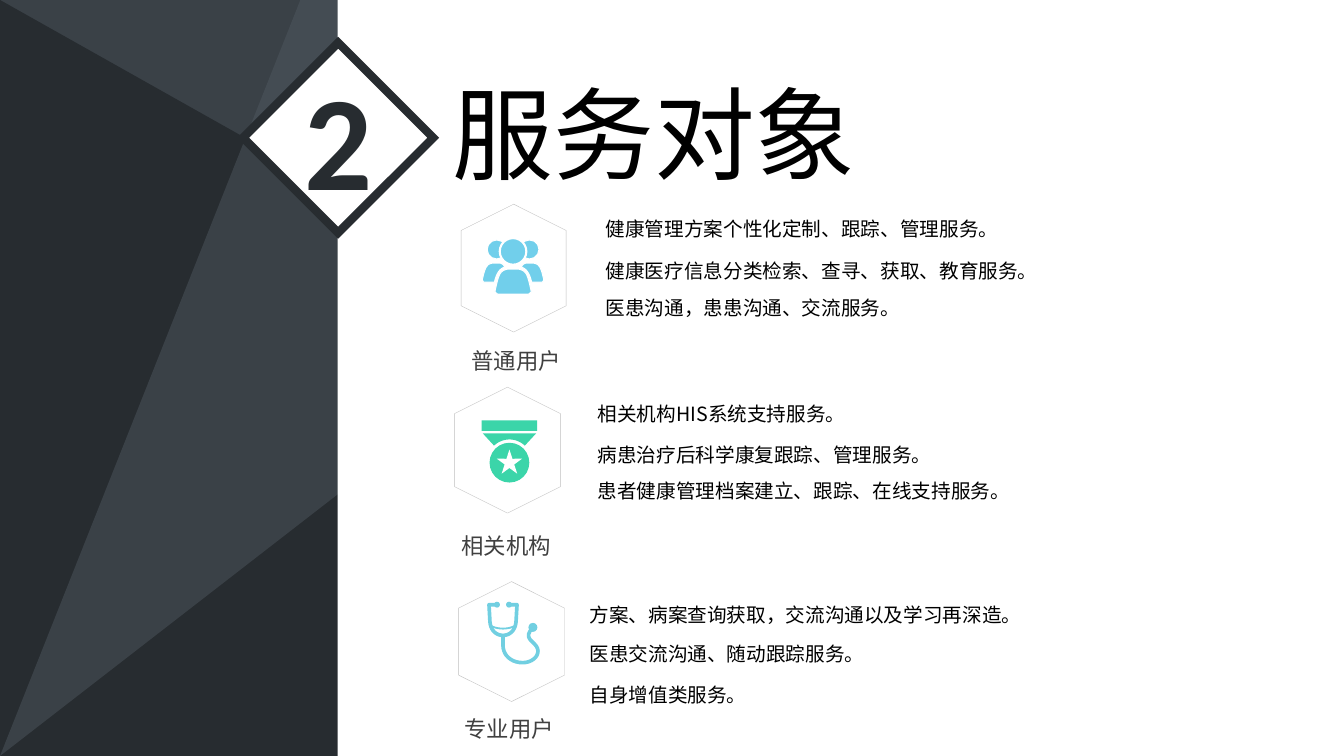
import dataclasses

import lxml.etree
import pptx
import pptx.dml.color
import pptx.enum.shapes
import pptx.enum.text
import pptx.oxml.ns
import pptx.util

Pt = pptx.util.Pt
SHAPES = pptx.enum.shapes.MSO_SHAPE
ANCHOR = pptx.enum.text.MSO_ANCHOR
ALIGN = pptx.enum.text.PP_ALIGN


@dataclasses.dataclass(frozen=True)
class Theme:
    """Colours, fonts and type sizes of the slide."""
    slate: str = "3A4147"
    dark: str = "272C30"
    light: str = "4E575F"
    white: str = "FFFFFF"
    black: str = "000000"
    label: str = "404040"
    outline: str = "BFBFBF"
    sky: str = "71CFEB"
    mint: str = "3BD5A9"
    aqua: str = "71CFE1"
    latin: str = "Calibri"
    cjk: str = "Noto Sans CJK SC"
    number_size: int = 96
    title_size: int = 72
    label_size: int = 16
    body_size: int = 14


THEME = Theme()


def rgb(value):
    """Turn a hex string into a colour."""
    return pptx.dml.color.RGBColor.from_string(value)


def add_xml(parent, tag):
    """Append an empty drawing element to parent and return it."""
    return lxml.etree.SubElement(parent, pptx.oxml.ns.qn(tag))


def paint(shape, fill=None, line=None, width=0.75):
    """Set fill and line, and remove the shadow."""
    shape.shadow.inherit = False
    if fill:
        shape.fill.solid()
        shape.fill.fore_color.rgb = rgb(fill)
    else:
        shape.fill.background()
    if line:
        shape.line.color.rgb = rgb(line)
        shape.line.width = Pt(width)
    else:
        shape.line.fill.background()
    return shape


def preset(slide, kind, box, **look):
    """Add a painted preset shape in a box of points."""
    return paint(slide.shapes.add_shape(kind, *map(Pt, box)), **look)


def dot(slide, x, y, radius, **look):
    """Add a circle around a centre."""
    return preset(slide, SHAPES.OVAL, (x - radius, y - radius, 2 * radius, 2 * radius), **look)


def outline(slide, origin, points, close=True, **look):
    """Add a freeform through points given relative to origin."""
    x, y = origin
    spots = [(Pt(x + dx), Pt(y + dy)) for dx, dy in points]
    builder = slide.shapes.build_freeform(*spots[0], scale=1.0)
    builder.add_line_segments(spots[1:], close=close)
    return paint(builder.convert_to_shape(), **look)


def bend(a, b, c, d, steps=10):
    """Sample a cubic curve from a to d with handles b and c."""
    ts = [i / steps for i in range(steps + 1)]
    return [tuple((1 - t) ** 3 * p + 3 * t * (1 - t) ** 2 * q + 3 * t * t * (1 - t) * r + t ** 3 * s
                  for p, q, r, s in zip(a, b, c, d)) for t in ts]


def flip(points):
    """Mirror points left to right."""
    return [(-x, y) for x, y in points]


def symmetric(half):
    """Join half an outline, ending near the axis, with its mirror image."""
    return half + flip(half)[::-1]


def put_text(frame, text, size, font=THEME.latin, color=THEME.black, bold=False,
             align=ALIGN.LEFT, anchor=ANCHOR.TOP, spacing=1.0):
    """Write one formatted paragraph into a text frame."""
    frame.word_wrap = True
    frame.auto_size = pptx.enum.text.MSO_AUTO_SIZE.NONE
    frame.vertical_anchor = anchor
    paragraph = frame.paragraphs[0]
    paragraph.alignment = align
    paragraph.line_spacing = spacing
    run = paragraph.add_run()
    run.text = text
    run.font.name, run.font.size, run.font.bold = font, Pt(size), bold
    run.font.color.rgb = rgb(color)


def text_box(slide, box, text, **style):
    """Add a text box in a box of points."""
    put_text(slide.shapes.add_textbox(*map(Pt, box)).text_frame, text, **style)


def backdrop(slide, box):
    """Draw the faceted dark panel and the white page beside it."""
    left, top, width, height = box
    slide.background.fill.solid()
    slide.background.fill.fore_color.rgb = rgb(THEME.slate)
    preset(slide, SHAPES.ISOSCELES_TRIANGLE, box, fill=THEME.dark).adjustments[0] = 0
    facet = outline(slide, (left, top), [(697, 0), (214.5, 0), (0, height)], fill=THEME.light)
    tint = facet.element.spPr.find(".//" + pptx.oxml.ns.qn("a:srgbClr"))
    add_xml(tint, "a:alpha").set("val", "50000")
    preset(slide, SHAPES.RECTANGLE, (left + 241.2, top, width - 241.2, height), fill=THEME.white)


def heading(slide, box):
    """Place the numbered diamond and the title to its right."""
    left, top, side, gap = box
    diamond = preset(slide, SHAPES.RECTANGLE, (left, top, side, side),
                     fill=THEME.white, line=THEME.dark, width=6)
    diamond.rotation = 315
    add_xml(diamond.line._get_or_add_ln(), "a:miter").set("lim", "800000")
    text_box(slide, (left + 1.4, top - 0.7, 93, 116.6), "2", size=THEME.number_size,
             color=THEME.dark, bold=True, align=ALIGN.CENTER, spacing=0.9)
    title = slide.shapes.title
    title.left, title.top = Pt(left + side + gap), Pt(top - 2.9)
    title.width, title.height = Pt(308), Pt(94.3)
    put_text(title.text_frame, "服务对象", size=THEME.title_size)
    diamond.element.addnext(title.element)


def people_icon(slide, x, y):
    """Draw three people around a centre."""
    x -= 0.4
    look = dict(fill=THEME.sky, line=THEME.white)
    side_body = (bend((-22, 8.5), (-21, 4), (-20, 0), (-18.5, -1.5))
                 + bend((-18.5, -1.5), (-17, -3.6), (-14.5, -3.6), (-12.5, -3.6))
                 + bend((-10, -3.6), (-7.5, -3.6), (-6, -1.5), (-6, -0.7))
                 + bend((-6, -0.7), (-9, 0.4), (-11.5, 2.5), (-13.3, 10)) + [(-21, 10)])
    body = ([(-11, 18.7)] + bend((-13, 17), (-12, 12), (-10.5, 5.5), (-9, 3.6))
            + bend((-9, 3.6), (-7, 0.7), (-3, 0.7), (-3, 0.7)))
    for sign, points in ((-1, side_body), (1, flip(side_body))):
        dot(slide, x + sign * 11.7, y - 13.3, 6.8, **look)
        outline(slide, (x, y), points, **look)
    dot(slide, x, y - 11.9, 9.5, fill=THEME.sky, line=THEME.white, width=1.5)
    outline(slide, (x, y), symmetric(body), **look)


def medal_icon(slide, x, y):
    """Draw a medal with a star around a centre."""
    x += 1.4
    preset(slide, SHAPES.RECTANGLE, (x - 19.8, y - 21.2, 39.6, 7.5), fill=THEME.mint)
    ribbon = [(-19, -11.9)] + bend((-11, -3.2), (-8, -6), (-4, -7.6), (0, -7.6))
    outline(slide, (x, y), symmetric(ribbon), fill=THEME.mint)
    dot(slide, x, y + 9, 14.2, fill=THEME.mint)
    preset(slide, SHAPES.STAR_5_POINT, (x - 9, y - 0.4, 18, 17.3), fill=THEME.white)


def stethoscope_icon(slide, x, y):
    """Draw a stethoscope around a centre."""
    x -= 6.1
    tube = [(-4.3, -26.3), (-10, -26.3)] + bend((-9.3, -14), (-8.7, -7.5), (-4.5, -4.4), (0, -4.4))
    rim = bend((-8.5, -11.2), (-4, -8.6), (4, -8.6), (8.5, -11.2))
    hose = ([(0, -4.4)] + bend((0, 2.5), (0, 10), (6, 15.1), (14, 15.1))
            + bend((14, 15.1), (20, 15.1), (25, 11.5), (25, 6.8))
            + bend((25, 6.8), (25, 0), (13, -1), (21, -9.5)))
    for points, width in ((symmetric(tube), 2.6), (rim, 1.3), (hose, 2.6)):
        outline(slide, (x, y), points, close=False, line=THEME.aqua, width=width)
    for dx, dy, radius in ((-4.3, -26.3, 2.1), (4.3, -26.3, 2.1), (21.4, -10.1, 3.2)):
        dot(slide, x + dx, y + dy, radius, fill=THEME.aqua)


def audience(slide, box, icon, label, label_offset, service_left, services):
    """Place one user group: hexagon with icon, label below, services at right."""
    left, top, width, height = box
    x, y = left + width / 2, top + height / 2
    hexagon = preset(slide, SHAPES.HEXAGON, (x - height / 2, y - width / 2, height, width),
                     line=THEME.outline, width=0.25)
    hexagon.rotation = 270
    icon(slide, x, y)
    dx, dy = label_offset
    text_box(slide, (left + dx, top + height + dy - 18, 140, 36), label, size=THEME.label_size,
             font=THEME.cjk, color=THEME.label, anchor=ANCHOR.MIDDLE)
    for offset, service, font in services:
        text_box(slide, (left + service_left, top + offset, 365, 24.5), service,
                 size=THEME.body_size, font=font)


def main():
    """Build and save the slide."""
    deck = pptx.Presentation()
    deck.slide_width, deck.slide_height = Pt(960), Pt(540)
    slide = deck.slides.add_slide(deck.slide_layouts[5])
    backdrop(slide, (0, 0, 960, 540))
    heading(slide, (193.6, 50.4, 96, 26.5))
    audience(slide, (329.4, 145.8, 75, 91.4), people_icon, "普通用户", (0.4, 20.2), 96.1, [
        (5.4, "健康管理方案个性化定制、跟踪、管理服务。", THEME.latin),
        (35.6, "健康医疗信息分类检索、查寻、获取、教育服务。", THEME.latin),
        (62.3, "医患沟通，患患沟通、交流服务。", THEME.latin)])
    audience(slide, (324.7, 276.5, 75.6, 90), medal_icon, "相关机构", (-2.1, 23), 95.1, [
        (7.2, "相关机构HIS系统支持服务。", THEME.cjk),
        (36, "病患治疗后科学康复跟踪、管理服务。", THEME.latin),
        (61.9, "患者健康管理档案建立、跟踪、在线支持服务。", THEME.latin)])
    audience(slide, (327.6, 415.4, 75.6, 85.7), stethoscope_icon, "专业用户", (-2.9, 19.1), 86.4, [
        (11.6, "方案、病案查询获取，交流沟通以及学习再深造。", THEME.latin),
        (39.6, "医患交流沟通、随动跟踪服务。", THEME.latin),
        (69.2, "自身增值类服务。", THEME.latin)])
    deck.save("out.pptx")


if __name__ == "__main__":
    main()
